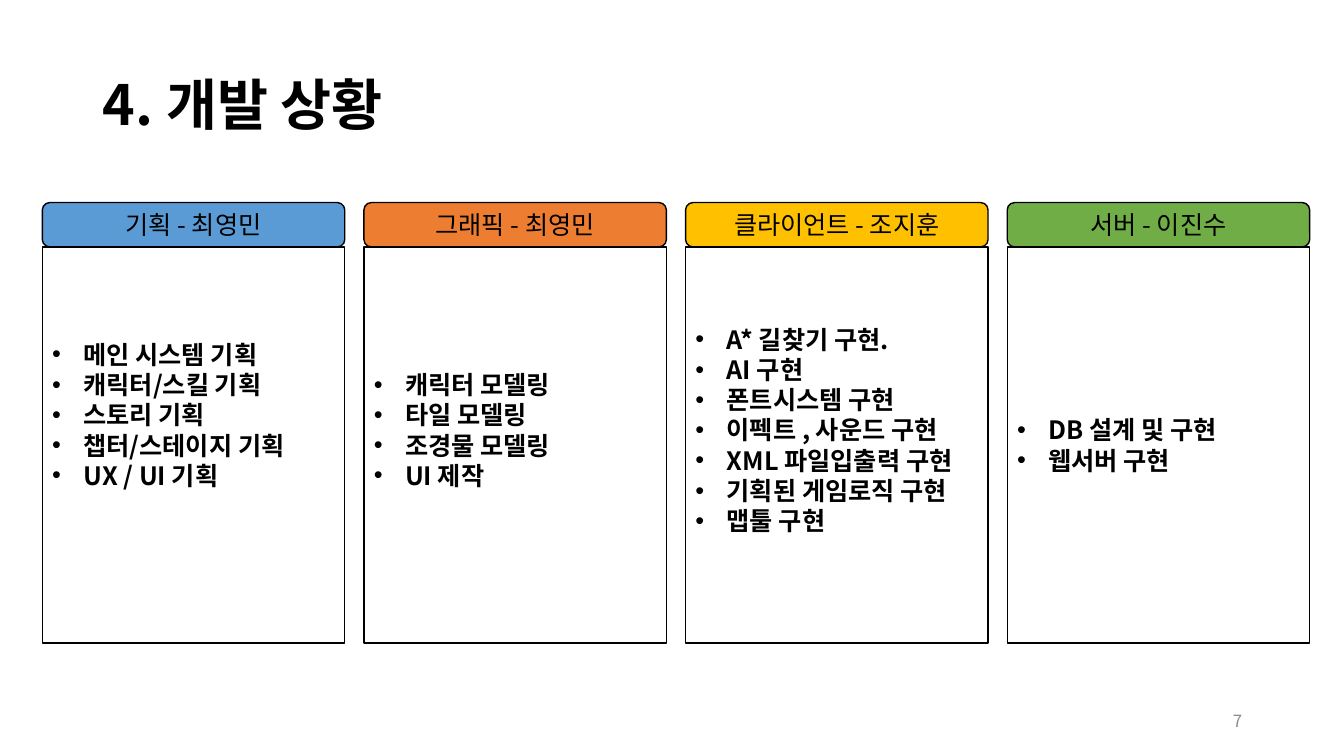
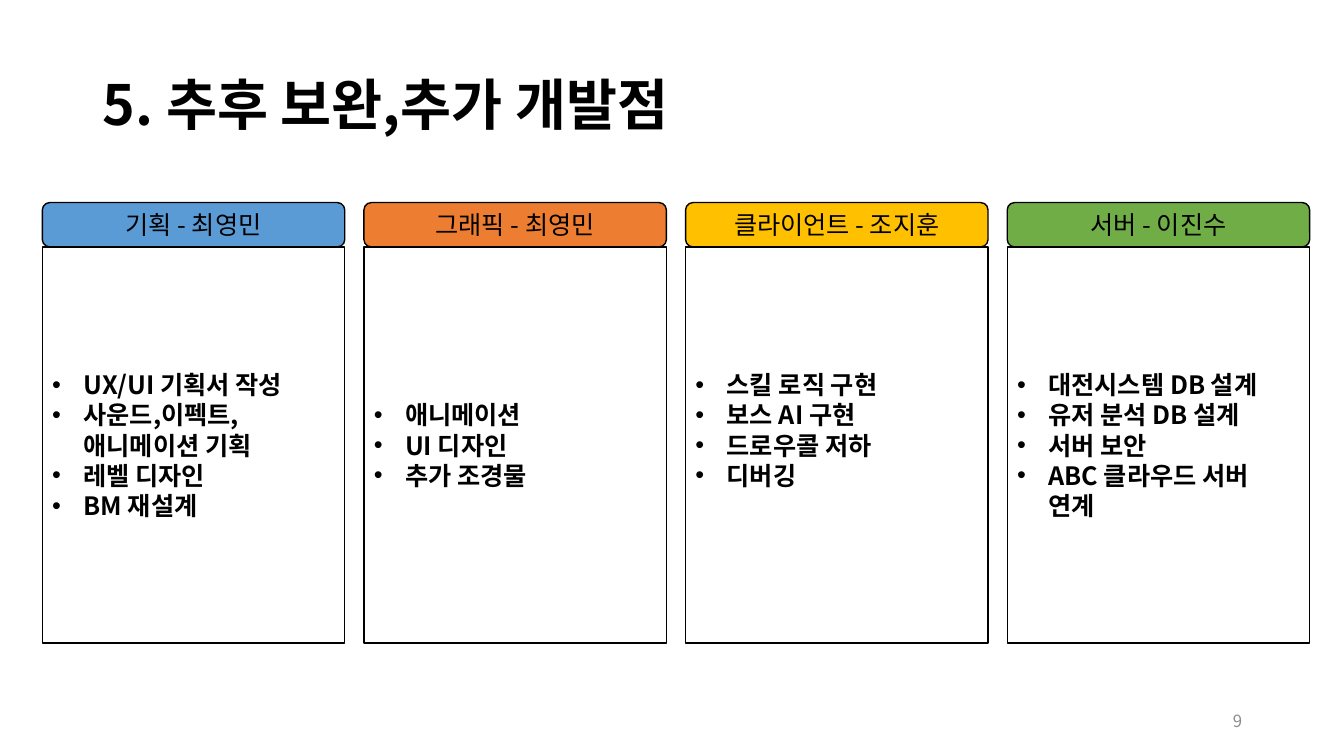
from lxml import etree
from pptx import Presentation, util as u
from pptx.dml.color import RGBColor
from pptx.enum import shapes, text
from pptx.oxml.ns import qn

FONT = "Noto Sans CJK KR"
BLACK, WHITE, GREY = "000000", "FFFFFF", "8C8C8C"

# Grid of four role columns, in inches
LEFT, PITCH, WIDTH = 0.42, 3.19, 3
HEAD_TOP, HEAD_HEIGHT, BODY_HEIGHT = 2.01, 0.44, 3.93
LINE, INSET, HANG = 0.3, 0.05, 0.31

ROLES = [
    ("기획 - 최영민", "5B9BD5"),
    ("그래픽 - 최영민", "ED7D31"),
    ("클라이언트 - 조지훈", "FFC000"),
    ("서버 - 이진수", "70AD47"),
]

# Title, page number, then per role: tasks and lines kept free below them
PAGES = [
    ("4. 개발 상황", 7, [
        (["메인 시스템 기획", "캐릭터/스킬 기획", "스토리 기획",
          "챕터/스테이지 기획", "UX / UI 기획"], 2),
        (["캐릭터 모델링", "타일 모델링", "조경물 모델링", "UI 제작"], 1),
        (["A* 길찾기 구현.", "AI 구현", "폰트시스템 구현", "이펙트 , 사운드 구현",
          "XML 파일입출력 구현", "기획된 게임로직 구현", "맵툴 구현"], 1),
        (["DB 설계 및 구현", "웹서버 구현"], 0),
    ]),
    ("5. 추후 보완,추가 개발점", 9, [
        (["UX/UI 기획서 작성", "사운드,이펙트,애니메이션 기획",
          "레벨 디자인", "BM 재설계"], 0),
        (["애니메이션", "UI 디자인", "추가 조경물"], 0),
        (["스킬 로직 구현", "보스 AI 구현", "드로우콜 저하", "디버깅"], 1),
        (["대전시스템 DB 설계", "유저 분석 DB 설계", "서버 보안",
          "ABC 클라우드 서버 연계"], 0),
    ]),
]


def color(value):
    return RGBColor.from_string(value)


def write(box, content, size, align, ink=BLACK, bold=False, fill=None):
    """Set and format the text of a box; a fill also gives it a black outline."""
    if fill:
        box.shadow.inherit = False
        box.fill.solid()
        box.fill.fore_color.rgb = color(fill)
        box.line.color.rgb = color(BLACK)
        box.line.width = u.Pt(1)
    frame = box.text_frame
    frame.text = content
    frame.word_wrap = True
    frame.auto_size = text.MSO_AUTO_SIZE.NONE
    frame.vertical_anchor = text.MSO_ANCHOR.MIDDLE
    for para in frame.paragraphs:
        para.alignment = align
        for span in para.runs:
            span.font.size = u.Pt(size)
            span.font.bold = bold
            span.font.color.rgb = color(ink)
            span.font.name = FONT
            latin = span.font._element.find(qn("a:latin"))
            latin.addnext(latin.makeelement(qn("a:ea"), {"typeface": FONT}))
    return frame


deck = Presentation()
deck.slide_width, deck.slide_height = u.Inches(13.33), u.Inches(7.5)
layout = deck.slide_layouts.get_by_name("Title Only")
ALIGN = text.PP_ALIGN

for heading, number, columns in PAGES:
    page = deck.slides.add_slide(layout)

    # Title
    title = page.shapes.title
    title.left, title.top = u.Inches(0.92), u.Inches(0.4)
    title.width, title.height = u.Inches(11.5), u.Inches(1.45)
    frame = write(title, heading, 39.6, ALIGN.LEFT, bold=True)
    frame.margin_bottom = u.Inches(0.17)
    frame.paragraphs[0].line_spacing = 0.9

    # Page number
    footer = page.shapes.add_textbox(
        u.Inches(9.42), u.Inches(6.95), u.Inches(3), u.Inches(0.4))
    write(footer, str(number), 12, ALIGN.RIGHT, ink=GREY)

    # Role columns: task panel with a coloured head on top
    for index, ((role, tint), (tasks, spare)) in enumerate(zip(ROLES, columns)):
        group = page.shapes.add_group_shape()
        left = u.Inches(LEFT + index * PITCH)
        panel = group.shapes.add_shape(
            shapes.MSO_SHAPE.RECTANGLE, left, u.Inches(HEAD_TOP + HEAD_HEIGHT),
            u.Inches(WIDTH), u.Inches(BODY_HEIGHT))
        frame = write(panel, "\n".join(tasks), 18, ALIGN.LEFT, bold=True, fill=WHITE)
        frame.margin_bottom = u.Inches(INSET + spare * LINE)
        for para in frame.paragraphs:
            props = para._p.get_or_add_pPr()
            props.set("marL", str(u.Inches(HANG)))
            props.set("indent", str(-u.Inches(HANG)))
            etree.SubElement(props, qn("a:buFont")).set("typeface", "Arial")
            etree.SubElement(props, qn("a:buChar")).set("char", "•")

        head = group.shapes.add_shape(
            shapes.MSO_SHAPE.ROUNDED_RECTANGLE, left, u.Inches(HEAD_TOP),
            u.Inches(WIDTH), u.Inches(HEAD_HEIGHT))
        write(head, role, 18, ALIGN.CENTER, fill=tint)

deck.save("out.pptx")
